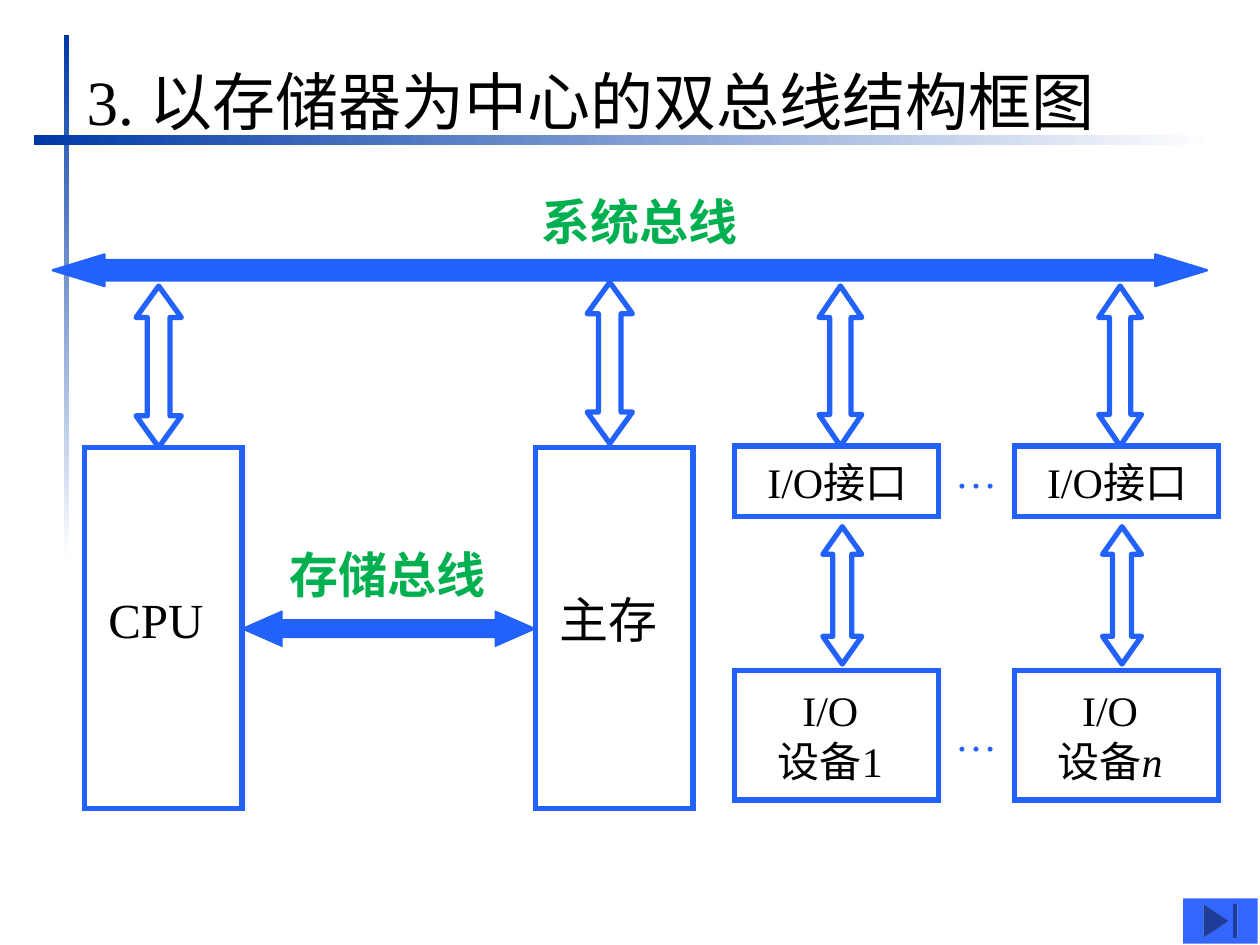
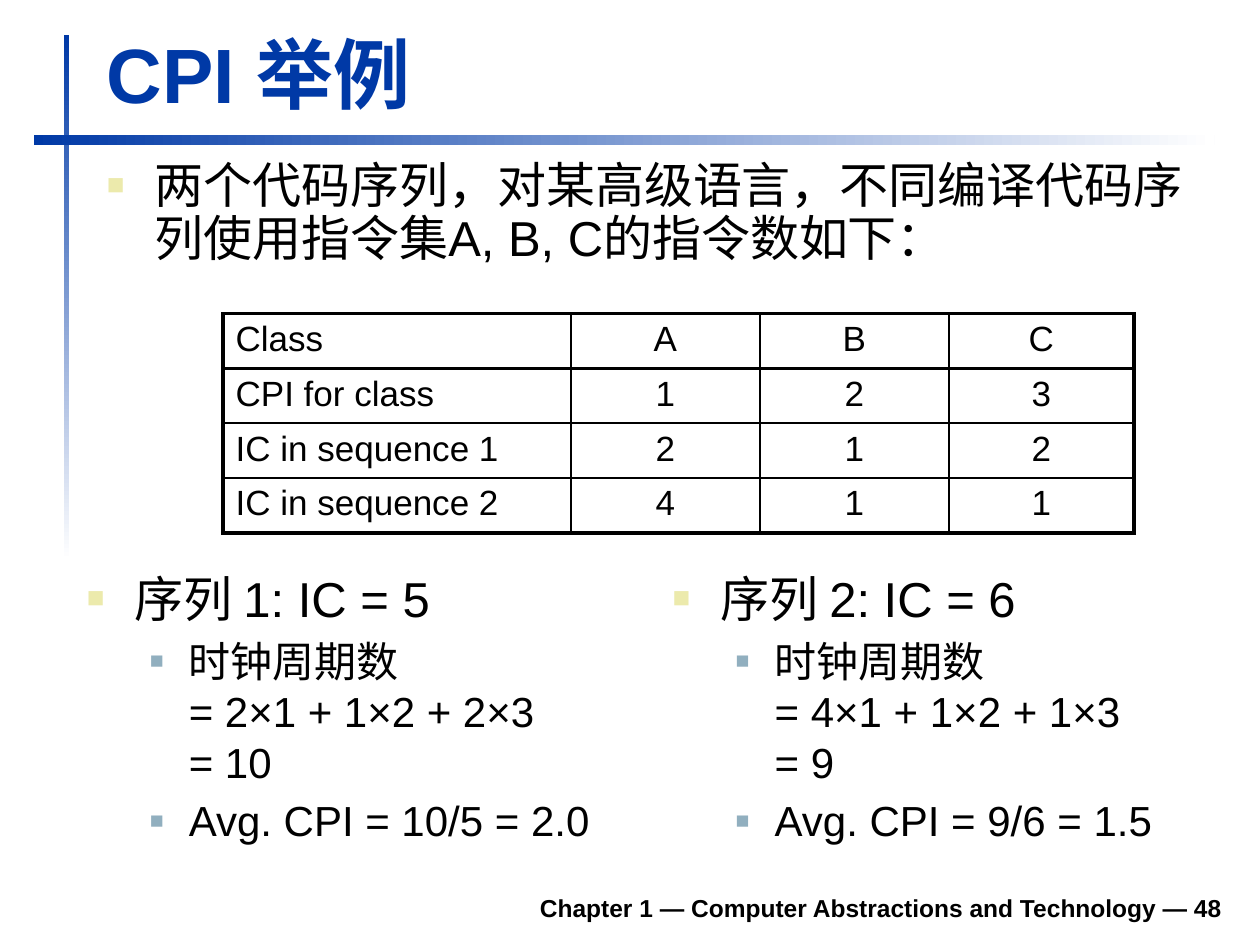
from dataclasses import dataclass

from lxml import etree
from pptx import Presentation
from pptx.dml.color import RGBColor
from pptx.enum.shapes import MSO_SHAPE as Preset
from pptx.enum.text import MSO_ANCHOR as Anchor, PP_ALIGN as Align
from pptx.oxml.ns import qn
from pptx.util import Inches, Pt

COLORS = {
    "navy": "0039A6",
    "white": "FFFFFF",
    "black": "000000",
    "bus": "2261FA",
    "green": "00B050",
    "button": "3366FF",
    "bullet_outer": "ECEAAC",
    "bullet_inner": "91AFBF",
}
SERIF = "Times New Roman"
SANS = "Arial"
CJK = "Noto Sans CJK SC"
MARGINS = (0.1, 0.05, 0.1, 0.05)
NO_MARGINS = (0, 0, 0, 0)


@dataclass(frozen=True)
class Box:
    left: float
    top: float
    width: float
    height: float

    def lengths(self) -> tuple:
        return tuple(Inches(n) for n in (self.left, self.top, self.width, self.height))


@dataclass(frozen=True)
class Style:
    size: float
    font: str = SERIF
    color: str = "black"
    bold: bool = False


@dataclass(frozen=True)
class Block:
    box: Box
    text: str
    style: Style
    margins: tuple = MARGINS
    align: Align = Align.LEFT


@dataclass(frozen=True)
class Bullet:
    text: str
    level: int = 0


@dataclass(frozen=True)
class BulletLevel:
    size: float
    margin: float
    hanging: float
    color: str
    scale: int


LEVELS = (
    BulletLevel(28, 0.38, 0.38, "bullet_outer", 60),
    BulletLevel(24, 0.81, 0.31, "bullet_inner", 55),
)


def rgb(name: str) -> RGBColor:
    return RGBColor.from_string(COLORS[name])


def child(parent, tag: str, **attributes: str):
    return etree.SubElement(parent, qn(tag), attributes)


def format_runs(paragraph, style: Style) -> None:
    for run in paragraph.runs:
        run.font.size = Pt(style.size)
        run.font.bold = style.bold
        run.font.color.rgb = rgb(style.color)
        run.font.name = style.font
        child(run.font._element, "a:ea", typeface=CJK)


def set_margins(frame, margins: tuple) -> None:
    (frame.margin_left, frame.margin_top,
     frame.margin_right, frame.margin_bottom) = (Inches(n) for n in margins)


def fill_text(shape, block: Block, anchor: Anchor) -> None:
    frame = shape.text_frame
    frame.text = block.text
    frame.word_wrap = True
    frame.vertical_anchor = anchor
    set_margins(frame, block.margins)
    for paragraph in frame.paragraphs:
        paragraph.alignment = block.align
        format_runs(paragraph, block.style)


def add_text(slide, block: Block, anchor: Anchor = Anchor.TOP) -> None:
    fill_text(slide.shapes.add_textbox(*block.box.lengths()), block, anchor)


def paint(shape, fill: str | None, line: str | None = None, width: float = 3) -> None:
    shape.shadow.inherit = False
    if fill:
        shape.fill.solid()
        shape.fill.fore_color.rgb = rgb(fill)
    else:
        shape.fill.background()
    if line:
        shape.line.color.rgb = rgb(line)
        shape.line.width = Pt(width)
    else:
        shape.line.fill.background()


def add_gradient_band(slide, box: Box, angle: float) -> None:
    band = slide.shapes.add_shape(Preset.RECTANGLE, *box.lengths())
    paint(band, None)
    band.fill.gradient()
    band.fill.gradient_angle = angle
    for stop, color in zip(band.fill.gradient_stops, ("navy", "white")):
        stop.color.rgb = rgb(color)


def add_slide(presentation):
    slide = presentation.slides.add_slide(presentation.slide_layouts[6])
    add_gradient_band(slide, Box(0.51, 0.28, 0.04, 4.17), 270)
    add_gradient_band(slide, Box(0.27, 1.07, 9.37, 0.08), 0)
    return slide


def add_unit(slide, block: Block):
    unit = slide.shapes.add_shape(Preset.RECTANGLE, *block.box.lengths())
    paint(unit, None, "bus")
    child(unit.line._get_or_add_ln(), "a:miter", lim="800000")
    fill_text(unit, block, Anchor.MIDDLE)
    return unit


def add_double_arrow(slide, box: Box, head: float, shaft: float,
                     horizontal: bool = False):
    length, breadth = (box.width, box.height) if horizontal else (box.height, box.width)
    middle = breadth / 2
    near, far = middle - shaft / 2, middle + shaft / 2
    outline = [(0, middle), (head, breadth), (head, far), (length - head, far),
               (length - head, breadth), (length, middle), (length - head, 0),
               (length - head, near), (head, near), (head, 0)]
    points = [
        (Inches(box.left + (along if horizontal else across)),
         Inches(box.top + (across if horizontal else along)))
        for along, across in outline
    ]
    builder = slide.shapes.build_freeform(*points[0])
    builder.add_line_segments(points[1:], close=True)
    arrow = builder.convert_to_shape()
    paint(arrow, None, "bus")
    child(arrow.line._get_or_add_ln(), "a:round")
    return arrow


def add_bullets(slide, box: Box, bullets: list[Bullet], spacing: float = 1) -> None:
    frame = slide.shapes.add_textbox(*box.lengths()).text_frame
    frame.word_wrap = True
    set_margins(frame, MARGINS)
    for index, bullet in enumerate(bullets):
        level = LEVELS[bullet.level]
        paragraph = frame.paragraphs[0] if index == 0 else frame.add_paragraph()
        paragraph.text = bullet.text
        paragraph.level = bullet.level
        paragraph.line_spacing = spacing
        if index:
            paragraph.space_before = Pt(level.size * 0.2)
        properties = paragraph._p.get_or_add_pPr()
        properties.set("marL", str(Inches(level.margin)))
        properties.set("indent", str(-Inches(level.hanging)))
        child(child(properties, "a:buClr"), "a:srgbClr", val=COLORS[level.color])
        child(properties, "a:buSzPct", val=str(level.scale * 1000))
        child(properties, "a:buFont", typeface=SANS)
        child(properties, "a:buChar", char="■")
        format_runs(paragraph, Style(level.size, SANS))


def set_borders(cell, widths: dict[str, float]) -> None:
    properties = cell._tc.get_or_add_tcPr()
    for side, width in widths.items():
        line = child(properties, f"a:ln{side}", w=str(Pt(width)))
        child(child(line, "a:solidFill"), "a:srgbClr", val=COLORS["black"])


def add_class_table(slide, rows: list[tuple]) -> None:
    box = Box(1.77, 2.49, 7.23, 1.73)
    table = slide.shapes.add_table(len(rows), len(rows[0]), *box.lengths()).table
    table.first_row = table.horz_banding = False
    for column, width in zip(table.columns, (2.76, 1.5, 1.5, 1.47)):
        column.width = Inches(width)
    thin, thick = 1, 2.25
    last_row, last_column = len(rows) - 1, len(rows[0]) - 1
    for r, values in enumerate(rows):
        table.rows[r].height = Inches(0.44 if r == last_row else 0.43)
        for c, value in enumerate(values):
            cell = table.cell(r, c)
            cell.text = value
            set_margins(cell, MARGINS)
            paragraph = cell.text_frame.paragraphs[0]
            paragraph.alignment = Align.CENTER if c else Align.LEFT
            format_runs(paragraph, Style(20, SANS))
            set_borders(cell, {
                "L": thick if c == 0 else thin,
                "R": thick if c == last_column else thin,
                "T": thick if r in (0, 1) else thin,
                "B": thick if r in (0, last_row) else thin,
            })
            cell.fill.background()


def build_bus_slide(presentation) -> None:
    slide = add_slide(presentation)
    add_text(slide, Block(Box(0.59, 0.45, 8.67, 0.7),
                          "3. 以存储器为中心的双总线结构框图", Style(36)))
    bus_label = Style(28, CJK, "green", True)
    add_text(slide, Block(Box(4.3, 1.52, 2.53, 0.47), "系统总线", bus_label, NO_MARGINS))
    system_bus = add_double_arrow(slide, Box(0.42, 2.02, 9.16, 0.25), 0.41, 0.16, True)
    paint(system_bus, "bus", "bus", 1.38)

    for left, arrow_top, name in ((0.67, 2.27, "CPU"), (4.25, 2.24, "主存")):
        add_unit(slide, Block(Box(left, 3.55, 1.25, 2.87), name, Style(28),
                              (0.19, 0.05, 0.05, 0.2)))
        add_double_arrow(slide, Box(left + 0.41, arrow_top, 0.36, 1.28), 0.25, 0.18)

    for left, number in ((5.83, "1"), (8.05, "n")):
        add_unit(slide, Block(Box(left, 3.54, 1.62, 0.56), "I/O接口", Style(24),
                              (0.26, 0.05, 0, 0.05)))
        device = add_unit(slide, Block(Box(left, 5.32, 1.62, 1.03), f"I/O\n设备{number}",
                                       Style(24), (0.05, 0.05, 0.15, 0.05), Align.CENTER))
        if number == "n":
            paragraph = device.text_frame.paragraphs[1]
            paragraph.runs[0].text = "设备"
            variable = paragraph.add_run()
            variable.text = number
            format_runs(paragraph, Style(24))
            variable.font.italic = True
        add_double_arrow(slide, Box(left + 0.67, 2.27, 0.34, 1.27), 0.25, 0.17)
        add_double_arrow(slide, Box(left + 0.7, 4.18, 0.31, 1.09), 0.22, 0.15)

    for top in (3.54, 5.63):
        add_text(slide, Block(Box(7.58, top, 0.34, 0.4), "…",
                              Style(24, color="bus"), NO_MARGINS))

    memory_bus = slide.shapes.add_shape(Preset.LEFT_RIGHT_ARROW,
                                        *Box(1.92, 4.85, 2.33, 0.28).lengths())
    memory_bus.adjustments[0] = 0.5
    memory_bus.adjustments[1] = 1.14
    paint(memory_bus, "bus", "bus", 0.75)
    add_text(slide, Block(Box(2.2, 4.27, 1.76, 0.57), "存储总线", bus_label))
    end_button = slide.shapes.add_shape(Preset.ACTION_BUTTON_END,
                                        *Box(9.39, 7.13, 0.59, 0.36).lengths())
    paint(end_button, "button")


def build_cpi_slide(presentation) -> None:
    slide = add_slide(presentation)
    add_text(slide, Block(Box(1.85, 6.98, 7.95, 0.39),
                          "Chapter 1 — Computer Abstractions and Technology — 48",
                          Style(14, SANS, bold=True), align=Align.RIGHT), Anchor.BOTTOM)
    add_text(slide, Block(Box(0.75, 0.16, 9.03, 0.83), "CPI 举例",
                          Style(44, SANS, "navy", True)), Anchor.BOTTOM)
    add_bullets(slide, Box(0.75, 1.23, 9.05, 1.09), [
        Bullet("两个代码序列，对某高级语言，不同编译代码序列使用指令集A, B, C的指令数如下："),
    ], 0.9)
    add_class_table(slide, [
        ("Class", "A", "B", "C"),
        ("CPI for class", "1", "2", "3"),
        ("IC in sequence 1", "2", "1", "2"),
        ("IC in sequence 2", "4", "1", "1"),
    ])
    sequences = (
        (0.59, "序列 1: IC = 5", "2×1 + 1×2 + 2×3", "10", "10/5 = 2.0"),
        (5.24, "序列 2: IC = 6", "4×1 + 1×2 + 1×3", "9", "9/6 = 1.5"),
    )
    for left, heading, products, cycles, average in sequences:
        add_bullets(slide, Box(left, 4.46, 4.25, 2.28), [
            Bullet(heading),
            Bullet(f"时钟周期数\v= {products}\v= {cycles}", 1),
            Bullet(f"Avg. CPI = {average}", 1),
        ])


def main() -> None:
    presentation = Presentation()
    presentation.slide_width = Inches(10)
    presentation.slide_height = Inches(7.5)
    build_bus_slide(presentation)
    build_cpi_slide(presentation)
    presentation.save("out.pptx")


if __name__ == "__main__":
    main()
